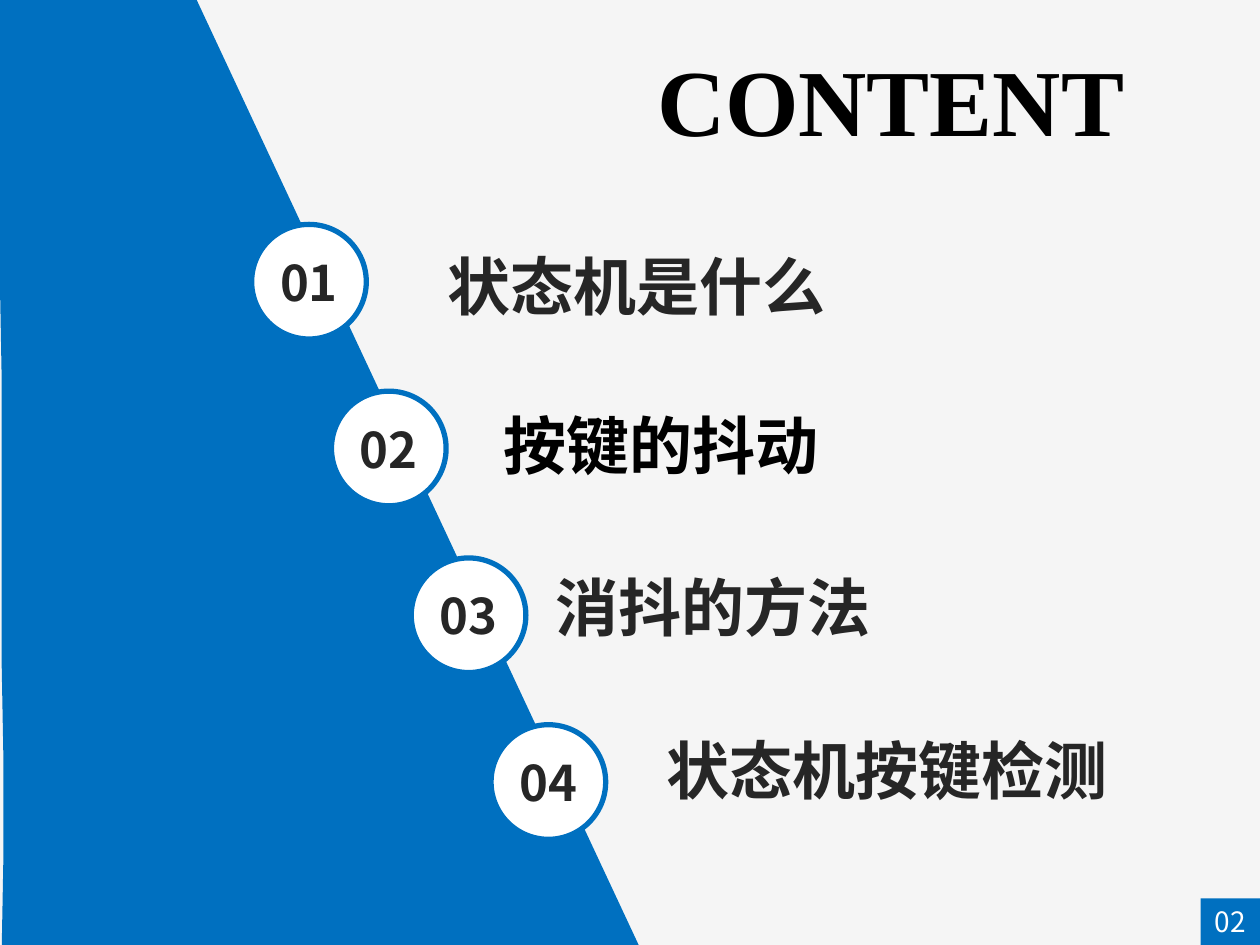
"""Build the contents slide with four numbered topics along a slanted panel."""
from dataclasses import dataclass

from lxml.etree import SubElement
from pptx import Presentation
from pptx.dml.color import RGBColor
from pptx.enum.shapes import MSO_SHAPE as Shape
from pptx.enum.text import MSO_ANCHOR as Anchor, MSO_AUTO_SIZE as AutoSize, PP_ALIGN as Align
from pptx.oxml.ns import qn
from pptx.util import Pt


@dataclass(frozen=True)
class Theme:
    blue: str = "0070C0"
    paper: str = "F5F5F5"
    white: str = "FFFFFF"
    ink: str = "262626"
    black: str = "000000"
    sans: str = "Noto Sans CJK SC"
    serif: str = "Times New Roman"
    title: int = 54
    topic: int = 36
    number: int = 28
    page: int = 16


@dataclass(frozen=True)
class Box:
    x: float
    y: float
    w: float
    h: float

    def lengths(self) -> list[Pt]:
        return [Pt(v) for v in (self.x, self.y, self.w, self.h)]


@dataclass(frozen=True)
class Topic:
    text: str
    box: Box
    color: str


T = Theme()
WIDTH, HEIGHT = 720, 540
DISC = Box(143.8, 128.2, 65.5, 65.5)
STEP_X, STEP_Y = 45.6, 95.3
TOPICS = [
    Topic("状态机是什么", Box(248.4, 137.5, 393, 51), T.ink),
    Topic("按键的抖动", Box(280.8, 228.2, 439, 51), T.black),
    Topic("消抖的方法", Box(310.3, 321.1, 360, 51), T.ink),
    Topic("状态机按键检测", Box(373.7, 414, 346, 51), T.ink),
]


def rgb(value: str) -> RGBColor:
    return RGBColor.from_string(value)


def write(s, text: str, size: int, color: str, bold: bool = True,
          font: str = T.sans, align: Align = Align.CENTER) -> None:
    """Set one formatted line of text in a shape."""
    tf = s.text_frame
    tf.text = text
    tf.word_wrap = True
    tf.auto_size = AutoSize.NONE
    tf.vertical_anchor = Anchor.MIDDLE
    p = tf.paragraphs[0]
    p.alignment = align
    r = p.runs[0]
    r.font.size, r.font.bold, r.font.name = Pt(size), bold, font
    r.font.color.rgb = rgb(color)
    SubElement(r.font._element, qn("a:ea"), typeface=font)


def paint(s, fill: str, line: str | None = None) -> None:
    """Give a shape a flat fill and an optional outline."""
    s.shadow.inherit = False
    s.fill.solid()
    s.fill.fore_color.rgb = rgb(fill)
    if line:
        s.line.color.rgb = rgb(line)
        s.line.width = Pt(3)
    else:
        s.line.fill.background()


def add_panel(sl) -> None:
    """Draw the slanted panel with its slightly bowed left edge."""
    steps = [i / 10 for i in range(11)]
    edge = [(6.5 * t * t * (1 - t) + 1.4 * t ** 3, -0.7 + 543.6 * t) for t in steps]
    fb = sl.shapes.build_freeform(365, HEIGHT, scale=float(Pt(1)))
    fb.add_line_segments([(112.3, -0.7), *edge], close=True)
    paint(fb.convert_to_shape(), T.blue)


def add_label(sl, kind: Shape, box: Box, text: str, size: int, color: str,
              fill: str, line: str | None = None, bold: bool = True) -> None:
    """Draw a filled shape with a centred number."""
    s = sl.shapes.add_shape(kind, *box.lengths())
    paint(s, fill, line)
    tf = s.text_frame
    tf.margin_left = tf.margin_right = tf.margin_top = tf.margin_bottom = 0
    write(s, text, size, color, bold)


def add_topic(sl, i: int, topic: Topic) -> None:
    """Draw a numbered disc and its topic."""
    disc = Box(DISC.x + i * STEP_X, DISC.y + i * STEP_Y, DISC.w, DISC.h)
    add_label(sl, Shape.OVAL, disc, f"{i + 1:02}", T.number, T.ink, T.white, T.blue)
    s = sl.shapes.add_textbox(*topic.box.lengths())
    write(s, topic.text, T.topic, topic.color, align=Align.LEFT)


def main() -> None:
    prs = Presentation()
    prs.slide_width, prs.slide_height = Pt(WIDTH), Pt(HEIGHT)
    sl = prs.slides.add_slide(prs.slide_layouts[5])
    bg = sl.background.fill
    bg.solid()
    bg.fore_color.rgb = rgb(T.paper)

    title = sl.shapes.title
    title.left, title.top, title.width, title.height = Box(343.4, 20.2, 331.2, 72.7).lengths()
    write(title, "CONTENT", T.title, T.black, font=T.serif)

    add_panel(sl)
    for i, topic in enumerate(TOPICS):
        add_topic(sl, i, topic)
    add_label(sl, Shape.RECTANGLE, Box(686, 513.4, 34, 26.6), "02", T.page,
              T.white, T.blue, bold=False)
    prs.save("out.pptx")


if __name__ == "__main__":
    main()
